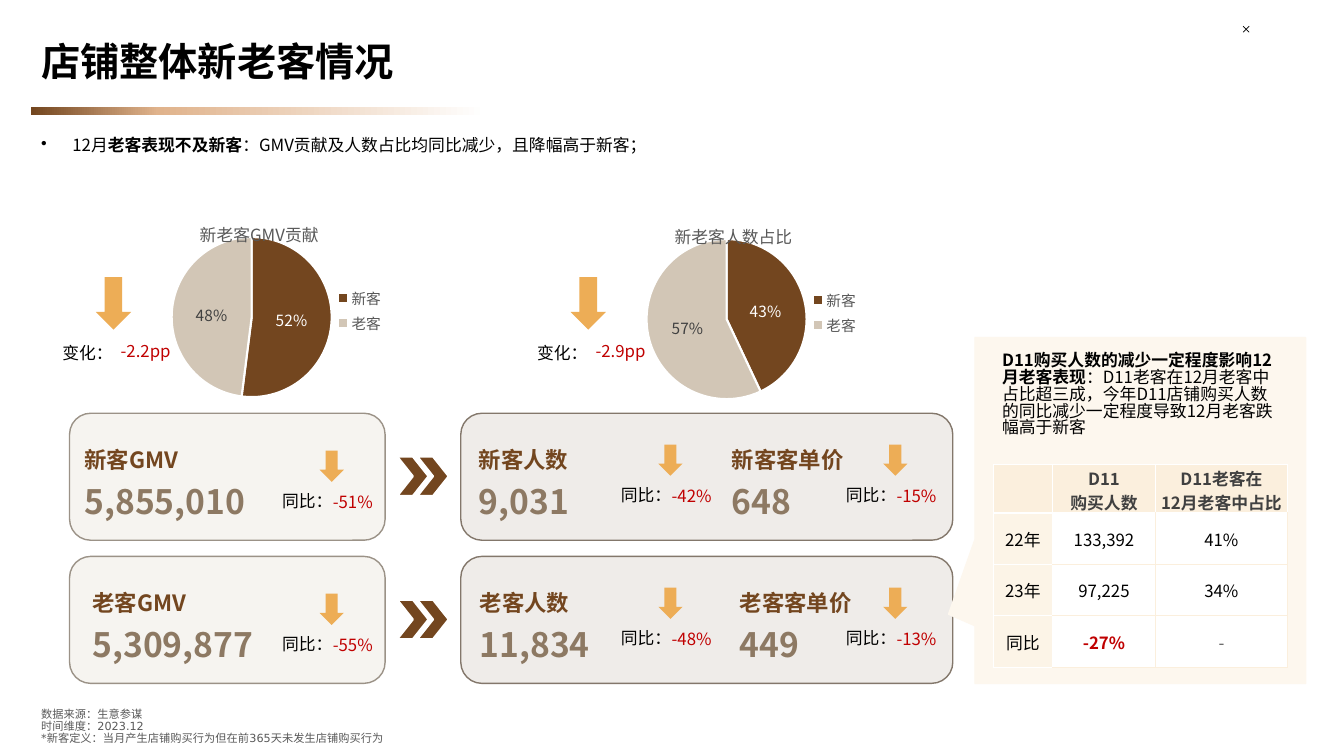
import pptx
import pptx.chart.data
import pptx.dml.color
import pptx.enum.chart
import pptx.enum.shapes
import pptx.enum.text
import pptx.oxml
import pptx.oxml.ns
import pptx.util
from dataclasses import dataclass

Inches, Pt, qn = pptx.util.Inches, pptx.util.Pt, pptx.oxml.ns.qn
SHAPE = pptx.enum.shapes.MSO_SHAPE
ALIGN = pptx.enum.text.PP_ALIGN
ANCHOR = pptx.enum.text.MSO_ANCHOR

TITLE = "店铺整体新老客情况"
SUMMARY = [[("12月", False), ("老客表现不及新客", True),
            ("：GMV贡献及人数占比均同比减少，且降幅高于新客；", False)]]
SOURCES = ["数据来源：生意参谋", "时间维度：2023.12",
           "*新客定义：当月产生店铺购买行为但在前365天未发生店铺购买行为"]
SEGMENTS = ["新客", "老客"]
PIES = [("新老客GMV贡献", (52, 48), "-2.2pp", 1.43, 1.75),
        ("新老客人数占比", (43, 57), "-2.9pp", 6.14, 1.77)]
KPI_ROWS = [
    [("新客GMV", "5,855,010", "-51%", 0.74),
     ("新客人数", "9,031", "-42%", 4.65),
     ("新客客单价", "648", "-15%", 7.16)],
    [("老客GMV", "5,309,877", "-55%", 0.82),
     ("老客人数", "11,834", "-48%", 4.66),
     ("老客客单价", "449", "-13%", 7.24)],
]
KPI_ARROWS = [(3.17, 4.47), (6.53, 4.41), (8.76, 4.41)]
ROW_STEP = 1.42
INSIGHT = [[("D11购买人数的减少一定程度影响12月老客表现", True),
            ("：D11老客在12月老客中占比超三成，今年D11店铺购买人数的同比减少一定程度导致12月老客跌幅高于新客", False)]]
TABLE = [["", ["D11", "购买人数"], ["D11老客在", "12月老客中占比"]],
         ["22年", "133,392", "41%"],
         ["23年", "97,225", "34%"],
         ["同比", "-27%", "-"]]
COL_WIDTHS = [0.59, 1.02, 1.31]
ROW_HEIGHTS = [0.48, 0.51, 0.51, 0.51]


@dataclass(frozen=True)
class Theme:
    """Colours, fonts and type sizes of the slide."""
    font: str = "Noto Sans CJK SC"
    plain_font: str = "DejaVu Sans"
    black: str = "000000"
    white: str = "FFFFFF"
    dark: str = "404040"
    grey: str = "595959"
    brown: str = "73461F"
    tan: str = "E0B38C"
    value: str = "8D7963"
    sand: str = "D2C6B6"
    orange: str = "EDAD56"
    red: str = "C00000"
    total_card: tuple = ("F6F4F0", "9B9287")
    detail_card: tuple = ("EFECE9", "83776B")
    callout: str = "FDF7EE"
    header: str = "FBEFDD"
    row_head: str = "FCF4E7"
    title: float = 28
    number: float = 24
    label: float = 16
    body: float = 12
    share: float = 11
    legend: float = 10.5
    note: float = 8


T = Theme()


def rgb(color):
    """Turn a hex string into a colour."""
    return pptx.dml.color.RGBColor.from_string(color)


def box(x, y, w, h):
    """Turn inches into a position and size."""
    return [Inches(v) for v in (x, y, w, h)]


def style(font, size, color, bold=False, name=T.font):
    """Format a font."""
    font.size, font.bold, font.name = Pt(size), bold, name
    font.color.rgb = rgb(color)


def write(tf, lines, size=T.body, color=T.black, bold=False, name=T.font,
          align=ALIGN.LEFT, spacing=None, bullet=False, anchor=None):
    """Fill a text frame with lines, each a string or a list of (text, bold)."""
    tf.word_wrap = True
    if anchor is not None:
        tf.vertical_anchor = anchor
    for i, line in enumerate([lines] if isinstance(lines, str) else lines):
        p = tf.add_paragraph() if i else tf.paragraphs[0]
        p.alignment, p.line_spacing = align, spacing
        if bullet:
            pPr = p._p.get_or_add_pPr()
            pPr.set("marL", str(Inches(0.31)))
            pPr.set("indent", str(-Inches(0.31)))
            pPr.append(pptx.oxml.parse_xml(
                f'<a:buChar {pptx.oxml.ns.nsdecls("a")} char="•"/>'))
        for text, strong in [(line, bold)] if isinstance(line, str) else line:
            r = p.add_run()
            r.text = text
            style(r.font, size, color, strong, name)
            ea = r._r.get_or_add_rPr().makeelement(qn("a:ea"), {"typeface": name})
            r._r.rPr.append(ea)


def text(s, lines, at, **fmt):
    """Add a text box."""
    write(s.shapes.add_textbox(*box(*at)).text_frame, lines, **fmt)


def shape(s, kind, at, fill, line=None, width=1):
    """Add a filled preset shape."""
    sp = s.shapes.add_shape(kind, *box(*at))
    sp.shadow.inherit = False
    sp.fill.solid()
    sp.fill.fore_color.rgb = rgb(fill)
    if line:
        sp.line.color.rgb, sp.line.width = rgb(line), Pt(width)
    else:
        sp.line.fill.background()
    return sp


def change(s, label, value, arrow, label_at, value_at):
    """Add a down arrow with its label and value, placed from the arrow."""
    x, y = arrow[:2]
    shape(s, SHAPE.DOWN_ARROW, arrow, T.orange)
    for words, (dx, dy, w), fmt in ((label, label_at, {}),
                                    (value, value_at, {"color": T.red, "align": ALIGN.CENTER})):
        text(s, words, (x + dx, y + dy, w, 0.3), **fmt)


def place(parent, before, x, y, w=None, h=None):
    """Set a fixed chart layout as fractions of the chart."""
    values = [("xMode", "edge"), ("yMode", "edge"), ("x", x), ("y", y)]
    if w:
        values = [("layoutTarget", "inner")] + values + [("w", w), ("h", h)]
    for old in parent.findall(qn("c:layout")):
        parent.remove(old)
    inner = "".join(f'<c:{k} val="{v}"/>' for k, v in values)
    layout = pptx.oxml.parse_xml(f'<c:layout {pptx.oxml.ns.nsdecls("c")}>'
                                 f'<c:manualLayout>{inner}</c:manualLayout></c:layout>')
    parent.insert(before, layout)


def pie(s, title, values, x, y):
    """Add a pie of new against returning customers."""
    data = pptx.chart.data.CategoryChartData()
    data.categories = SEGMENTS
    data.add_series("Series 1", values)
    kind = pptx.enum.chart.XL_CHART_TYPE.PIE
    chart = s.shapes.add_chart(kind, *box(x, y, 2.48, 2.66), data).chart
    style(chart.font, T.legend, T.black)
    write(chart.chart_title.text_frame, title, color=T.grey)
    chart.chart_title.include_in_layout = False
    place(chart.chart_title._element, 1, 0.21, 0.15)
    place(chart._chartSpace.chart.plotArea, 0, 0.11, 0.2, 0.64, 0.65)
    chart.has_legend = True
    chart.legend.position = pptx.enum.chart.XL_LEGEND_POSITION.RIGHT
    chart.legend.include_in_layout = False
    style(chart.legend.font, T.legend, T.grey)
    plot = chart.plots[0]
    plot.vary_by_categories = True
    series = plot.series[0]
    labels = series.data_labels
    labels.number_format, labels.number_format_is_linked = "0%", False
    labels.position = pptx.enum.chart.XL_LABEL_POSITION.CENTER
    style(labels.font, T.share, T.dark)
    for i, (fill, ink) in enumerate([(T.brown, T.white), (T.sand, T.dark)]):
        point = series.points[i]
        point.format.fill.solid()
        point.format.fill.fore_color.rgb = rgb(fill)
        point.format.line.color.rgb, point.format.line.width = rgb(T.white), Pt(1.5)
        style(point.data_label.font, T.share, ink)
        point.data_label.position = labels.position
    for tag, shown in (("c:showVal", "0"), ("c:showPercent", "1")):
        for el in chart._chartSpace.iter(qn(tag)):
            el.set("val", shown)


def border(cell, side, color):
    """Draw one edge of a table cell."""
    cell._tc.get_or_add_tcPr().append(pptx.oxml.parse_xml(
        f'<a:ln{side} {pptx.oxml.ns.nsdecls("a")} w="12700"><a:solidFill>'
        f'<a:srgbClr val="{color}"/></a:solidFill></a:ln{side}>'))


def table(s):
    """Add the table of D11 buyers."""
    at = box(9.85, 4.61, sum(COL_WIDTHS), sum(ROW_HEIGHTS))
    tbl = s.shapes.add_table(len(TABLE), len(COL_WIDTHS), *at).table
    tbl.first_row = tbl.horz_banding = False
    for col, w in zip(tbl.columns, COL_WIDTHS):
        col.width = Inches(w)
    for i, (row, h) in enumerate(zip(TABLE, ROW_HEIGHTS)):
        tbl.rows[i].height = Inches(h)
        for j, words in enumerate(row):
            cell = tbl.cell(i, j)
            cell.margin_left = cell.margin_right = cell.margin_top = Inches(0.01)
            cell.margin_bottom = 0
            cell.vertical_anchor = ANCHOR.MIDDLE
            body = i > 0 and j > 0
            for side, inner in (("L", j > 1), ("R", True), ("T", i > 1), ("B", True)):
                border(cell, side, T.header if body and inner else T.white)
            cell.fill.solid()
            cell.fill.fore_color.rgb = rgb(T.white if body else T.row_head if i else T.header)
            drop = words == "-27%"
            color = T.red if drop else T.grey if words == "-" else T.black if i else T.dark
            write(cell.text_frame, words, color=color, bold=drop or i == 0, align=ALIGN.CENTER)


def header(s):
    """Add the title, its gradient rule, the corner cross and the summary."""
    title = s.shapes.title
    title.left, title.top, title.width, title.height = box(0.31, 0.24, 10.32, 0.78)
    title.text_frame.auto_size = pptx.enum.text.MSO_AUTO_SIZE.NONE
    write(title.text_frame, TITLE, size=T.title, bold=True, name=T.plain_font,
          spacing=0.9, anchor=ANCHOR.MIDDLE)
    rule = shape(s, SHAPE.RECTANGLE, (0.31, 1.06, 4.51, 0.08), T.brown)
    stops = "".join(f'<a:gs pos="{pos}000"><a:srgbClr val="{c}"/></a:gs>'
                    for pos, c in ((0, T.brown), (28, T.tan), (100, T.white)))
    solid = rule._element.spPr.find(qn("a:solidFill"))
    rule._element.spPr.replace(solid, pptx.oxml.parse_xml(
        f'<a:gradFill {pptx.oxml.ns.nsdecls("a")}><a:gsLst>{stops}</a:gsLst>'
        '<a:lin ang="0" scaled="0"/></a:gradFill>'))
    for x1, x2 in ((12.33, 12.39), (12.39, 12.33)):
        stroke = s.shapes.add_connector(pptx.enum.shapes.MSO_CONNECTOR.STRAIGHT,
                                        Inches(x1), Inches(0.26), Inches(x2), Inches(0.32))
        stroke.line.color.rgb, stroke.line.width = rgb(T.black), Pt(0.5)
        spPr = stroke._element.spPr
        spPr.append(spPr.makeelement(qn("a:effectLst"), {}))
    text(s, SUMMARY, (0.31, 1.19, 12.72, 0.78), spacing=1.5, bullet=True)
    text(s, SOURCES, (0.31, 7.05, 12.72, 0.33), size=T.note, color=T.grey,
         name=T.plain_font, spacing=0.9, anchor=ANCHOR.MIDDLE)


def kpi_row(s, kpis, dy):
    """Add one row of cards, chevrons and figures."""
    for x, w, (fill, line) in ((4.57, 4.88, T.detail_card), (0.69, 3.13, T.total_card)):
        shape(s, SHAPE.ROUNDED_RECTANGLE, (x, 4.1 + dy, w, 1.26), fill, line)
    for x in (3.94, 4.14):
        shape(s, SHAPE.CHEVRON, (x, 4.53 + dy, 0.31, 0.39), T.brown, T.white, 1.5)
    for (label, value, yoy, x), (ax, ay) in zip(kpis, KPI_ARROWS):
        text(s, label, (x, 4.32 + dy, 2.29, 0.4), size=T.label, color=T.brown,
             bold=True, spacing=1.2)
        text(s, value, (x, 4.64 + dy, 2.29, 0.54), size=T.number, color=T.value,
             bold=True, spacing=1.2)
        change(s, "同比：", yoy, (ax, ay + dy, 0.24, 0.31), (-0.47, 0.35, 1.15), (-0.04, 0.36, 0.74))


def main():
    """Build and save the slide."""
    prs = pptx.Presentation()
    prs.slide_width, prs.slide_height = Inches(13.33), Inches(7.5)
    s = prs.slides.add_slide(prs.slide_layouts[5])
    header(s)
    for title, values, drop, x, y in PIES:
        pie(s, title, values, x, y)
        change(s, "变化：", drop, (x - 0.48, 2.75, 0.35, 0.52), (-0.43, 0.6, 1.23), (-0.12, 0.58, 1.23))
    for i, kpis in enumerate(KPI_ROWS):
        kpi_row(s, kpis, i * ROW_STEP)
    callout = shape(s, SHAPE.RECTANGULAR_CALLOUT, (9.67, 3.35, 3.28, 3.43), T.callout, T.callout)
    callout.adjustments[0], callout.adjustments[1] = -0.58, 0.3
    table(s)
    text(s, INSIGHT, (9.84, 3.45, 2.92, 1), spacing=0.84)
    prs.save("out.pptx")


if __name__ == "__main__":
    main()
